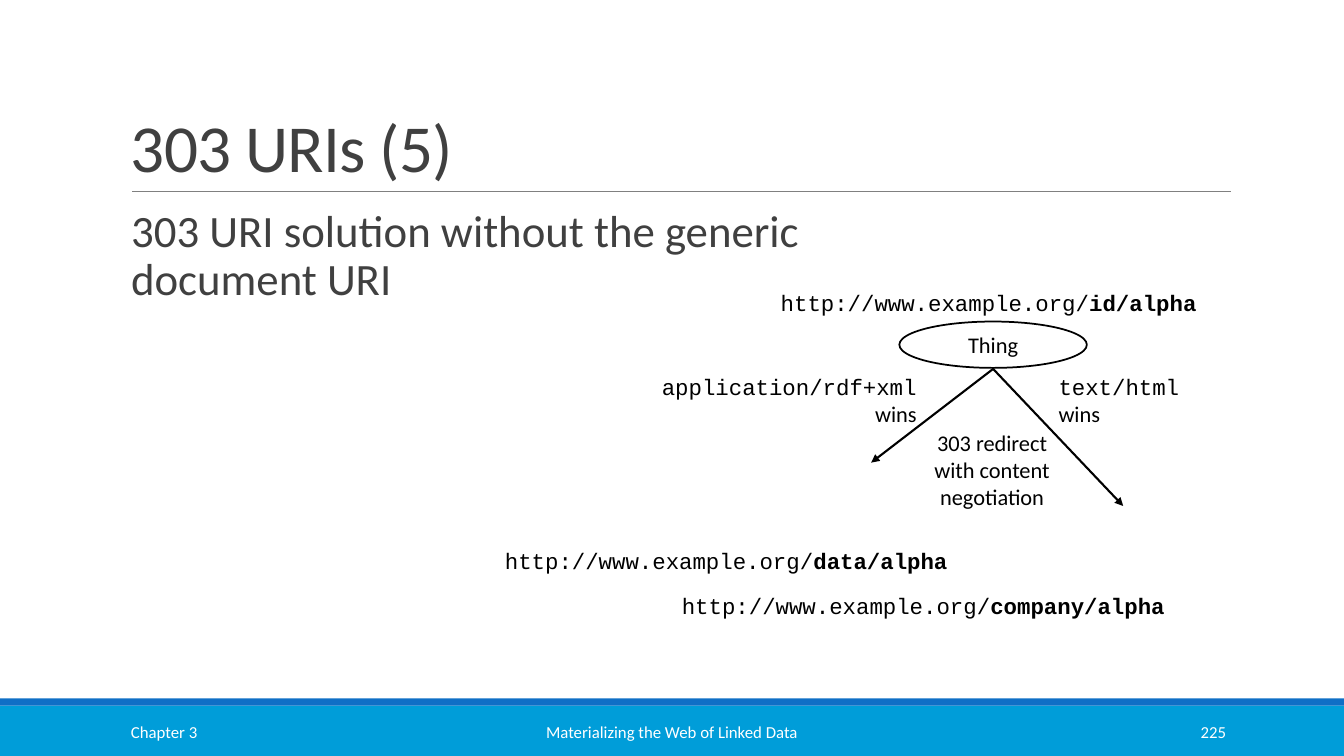
from dataclasses import dataclass

import pptx
import pptx.dml.color
import pptx.enum.shapes
import pptx.enum.text
import pptx.oxml.ns
import pptx.util
from lxml import etree

ALIGN = pptx.enum.text.PP_ALIGN
ANCHOR = pptx.enum.text.MSO_ANCHOR
SHAPE = pptx.enum.shapes.MSO_SHAPE
qn = pptx.oxml.ns.qn

EMU_PER_PX = 9144
SLIDE_WIDTH, SLIDE_HEIGHT = 1333, 750
SANS, MONO = "Calibri", "Courier New"
SITE = "http://www.example.org/"
COLORS = {
    "footer": "009DD9",
    "stripe": "0F6FC6",
    "rule": "808080",
    "heading": "404040",
    "ink": "000000",
    "light": "FFFFFF",
}


@dataclass
class Span:
    text: str
    font: str = SANS
    bold: bool = False


@dataclass
class Label:
    area: tuple[int, int, int, int]
    spans: list[Span]
    align: ALIGN = ALIGN.LEFT


@dataclass
class Line:
    start: tuple[int, int]
    end: tuple[int, int]
    color: str = "ink"
    weight: float = 1.5
    arrow: bool = True


def px(length: int) -> int:
    return pptx.util.Emu(length * EMU_PER_PX)


def rgb(name: str) -> pptx.dml.color.RGBColor:
    return pptx.dml.color.RGBColor.from_string(COLORS[name])


def write(box, spans: list[Span], *, size: int = 16, color: str = "ink", align=ALIGN.LEFT,
          anchor=ANCHOR.TOP, line_spacing: float = 1.0, tracking: int = 0,
          side_inset: int = 10, hanging: int = 0) -> None:
    frame = box.text_frame
    frame.word_wrap = True
    frame.vertical_anchor = anchor
    frame.margin_left = frame.margin_right = px(side_inset)
    frame.margin_top = frame.margin_bottom = px(5)
    para = frame.paragraphs[0]
    para.alignment = align
    para.line_spacing = line_spacing
    if hanging:
        properties = para._p.get_or_add_pPr()
        properties.set("marL", str(px(hanging)))
        properties.set("indent", str(-px(hanging)))
        bullet_color = etree.SubElement(properties, qn("a:buClr"))
        etree.SubElement(bullet_color, qn("a:srgbClr"), val=COLORS["stripe"])
        etree.SubElement(properties, qn("a:buFont"), typeface=SANS)
        etree.SubElement(properties, qn("a:buChar"), char=" ")
    for item in spans:
        span = para.add_run()
        span.text = item.text
        span.font.name = item.font
        span.font.size = pptx.util.Pt(size)
        span.font.bold = item.bold
        span.font.color.rgb = rgb(color)
        if tracking:
            span._r.get_or_add_rPr().set("spc", str(tracking))


def add_text(page, label: Label, **style) -> None:
    box = page.shapes.add_textbox(*map(px, label.area))
    write(box, label.spans, align=label.align, **style)


def add_band(page, top: int, height: int, color: str) -> None:
    band = page.shapes.add_shape(SHAPE.RECTANGLE, 0, px(top), px(SLIDE_WIDTH), px(height))
    band.shadow.inherit = False
    band.fill.solid()
    band.fill.fore_color.rgb = rgb(color)
    band.line.fill.background()


def add_line(page, line: Line) -> None:
    connector = page.shapes.add_connector(
        pptx.enum.shapes.MSO_CONNECTOR.STRAIGHT, *map(px, line.start + line.end))
    connector.line.color.rgb = rgb(line.color)
    connector.line.width = pptx.util.Pt(line.weight)
    if line.arrow:
        etree.SubElement(connector.line._get_or_add_ln(), qn("a:tailEnd"), type="triangle")
    etree.SubElement(connector._element.spPr, qn("a:effectLst"))


def add_thing(page) -> None:
    thing = page.shapes.add_shape(SHAPE.OVAL, px(892), px(319), px(186), px(46))
    thing.shadow.inherit = False
    thing.fill.background()
    thing.line.color.rgb = rgb("ink")
    thing.line.width = pptx.util.Pt(1.25)
    write(thing, [Span("Thing")], align=ALIGN.CENTER, anchor=ANCHOR.MIDDLE)


def address(ending: str) -> list[Span]:
    return [Span(SITE, MONO), Span(ending, MONO, True)]


def winner(media_type: str) -> list[Span]:
    return [Span(media_type + " ", MONO), Span("wins")]


FOOTERS = [
    Label((120, 706, 270, 40), [Span("Chapter 3")]),
    Label((403, 706, 527, 40), [Span("Materializing the Web of Linked Data")], ALIGN.CENTER),
    Label((1083, 706, 143, 40), [Span("225")], ALIGN.RIGHT),
]
DIAGRAM_LABELS = [
    Label((763, 282, 435, 37), address("id/alpha"), ALIGN.CENTER),
    Label((906, 421, 156, 91), [Span("303 redirect with content negotiation")], ALIGN.CENTER),
    Label((629, 365, 290, 64), winner("application/rdf+xml"), ALIGN.RIGHT),
    Label((1040, 365, 158, 64), winner("text/html")),
    Label((629, 583, 536, 37), address("company/alpha"), ALIGN.RIGHT),
    Label((491, 538, 497, 37), address("data/alpha")),
]
THING_BOTTOM = (985, 366)
LINES = [
    Line((131, 190), (1221, 190), "rule", 0.5, False),
    Line(THING_BOTTOM, (864, 459)),
    Line(THING_BOTTOM, (1114, 502)),
]


def main() -> None:
    deck = pptx.Presentation()
    deck.slide_width, deck.slide_height = px(SLIDE_WIDTH), px(SLIDE_HEIGHT)
    page = deck.slides.add_slide(deck.slide_layouts[6])

    add_band(page, 700, 50, "footer")
    add_band(page, 693, 7, "stripe")
    add_text(page, Label((120, 31, 1100, 159), [Span("303 URIs (5)")]), size=48,
             color="heading", anchor=ANCHOR.BOTTOM, line_spacing=0.85, tracking=-50)
    add_text(page, Label((120, 202, 725, 476),
                         [Span("303 URI solution without the generic document URI")]),
             size=32, color="heading", line_spacing=0.9, side_inset=0, hanging=10)
    for footer in FOOTERS:
        add_text(page, footer, size=12, color="light", anchor=ANCHOR.MIDDLE)
    add_thing(page)
    for line in LINES:
        add_line(page, line)
    for label in DIAGRAM_LABELS:
        add_text(page, label)
    deck.save("out.pptx")


if __name__ == "__main__":
    main()
